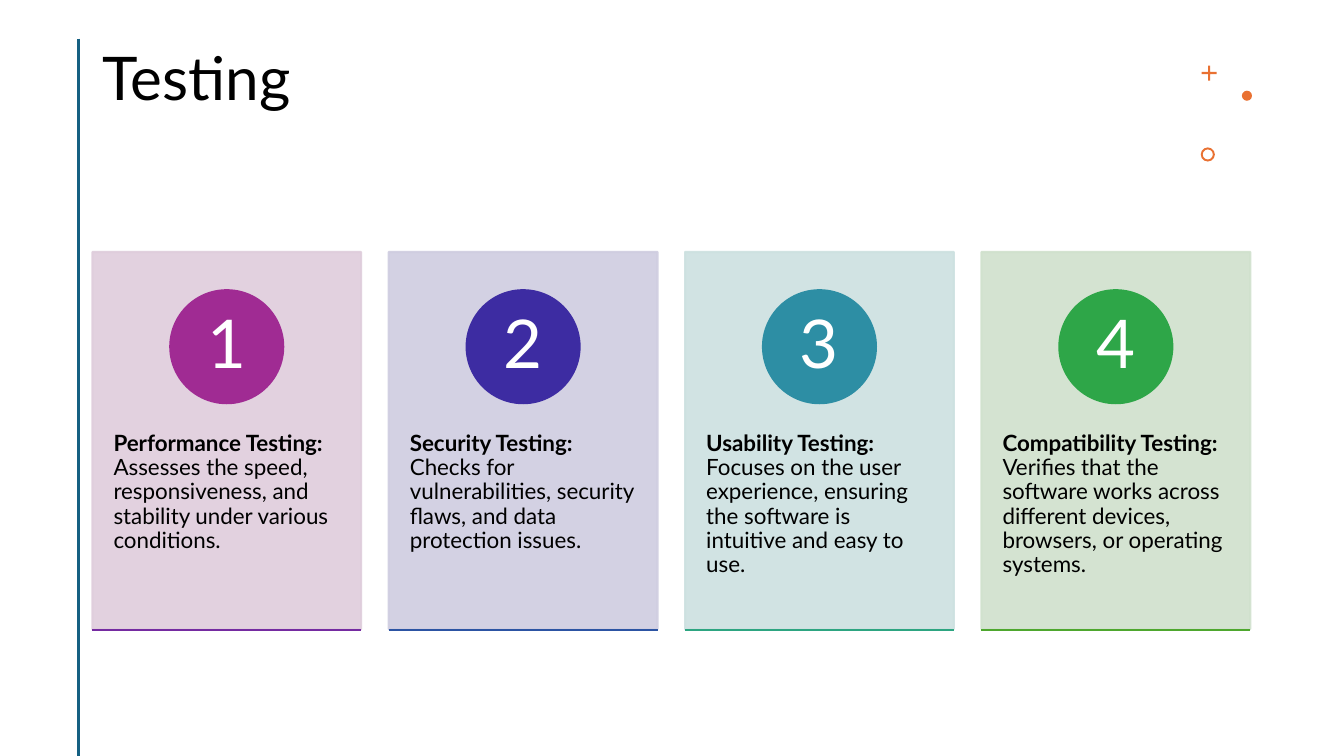
from lxml.etree import SubElement
from pptx import Presentation
from pptx.dml.color import RGBColor
from pptx.enum.shapes import MSO_CONNECTOR as CONN, MSO_SHAPE as SHAPE
from pptx.enum.text import MSO_ANCHOR as ANCHOR, PP_ALIGN as ALIGN
from pptx.oxml.ns import qn
from pptx.util import Inches, Pt

COLORS = {"text": "000000", "light": "FFFFFF", "rule": "156082", "accent": "E97132"}
CARDS = [
    ("Performance Testing:",
     " Assesses the speed, responsiveness, and stability under various conditions.",
     {"panel": "DFCDDC", "badge": "A02B93", "bar": "752BA1"}),
    ("Security Testing:",
     " Checks for vulnerabilities, security flaws, and data protection issues.",
     {"panel": "CFCDE0", "badge": "3D2CA2", "bar": "2C54A3"}),
    ("Usability Testing:",
     " Focuses on the user experience, ensuring the software is intuitive and easy to use.",
     {"panel": "CDE1E0", "badge": "2D8EA4", "bar": "2DA581"}),
    ("Compatibility Testing:",
     " Verifies that the software works across different devices, browsers, or operating systems.",
     {"panel": "D0E1CD", "badge": "2EA648", "bar": "4EA72E"}),
]
LEFT, PITCH, CARD_W, BADGE = 11, 35.28, 32, 13.45


class Deck:
    """Draws styled elements on one slide, measured in a grid of 160 columns by 90 rows."""

    font = "Lato"

    def __init__(self):
        self.prs = Presentation()
        self.prs.slide_width, self.prs.slide_height = Inches(13.33), Inches(7.5)
        self.s = self.prs.slides.add_slide(self.prs.slide_layouts[5])

    def grid(self, *cells):
        sizes = (self.prs.slide_width / 160, self.prs.slide_height / 90)
        return [int(c * sizes[i % 2]) for i, c in enumerate(cells)]

    def frame(self, tf, margins, anchor=ANCHOR.TOP):
        x, y = margins
        fmt = {"word_wrap": True, "vertical_anchor": anchor,
               "margin_left": Inches(x), "margin_right": Inches(x),
               "margin_top": Inches(y), "margin_bottom": Inches(y)}
        for name, value in fmt.items():
            setattr(tf, name, value)

    def add_runs(self, tf, runs, size, color="text", align=ALIGN.LEFT):
        p = tf.paragraphs[0]
        p.alignment, p.line_spacing = align, 0.9
        for text, bold in runs:
            r = p.add_run()
            r.text = text
            r.font.color.rgb = RGBColor.from_string(COLORS[color])
            for name, value in {"name": self.font, "size": Pt(size), "bold": bold}.items():
                setattr(r.font, name, value)

    def title(self, text, cells):
        sp = self.s.shapes.title
        sp.left, sp.top, sp.width, sp.height = self.grid(*cells)
        self.frame(sp.text_frame, (0.1, 0.08))
        self.add_runs(sp.text_frame, [(text, False)], 43)

    def shape(self, kind, cells, color, alpha=None, outline=True, adjust=None):
        sp = self.s.shapes.add_shape(kind, *self.grid(*cells))
        sp.shadow.inherit = False
        if adjust is not None:
            sp.adjustments[0] = adjust
        fills = [sp.fill]
        if outline:
            sp.line.width = Pt(1.5)
            fills.append(sp.line.fill)
        else:
            sp.line.fill.background()
        for fill in fills:
            fill.solid()
            fill.fore_color.rgb = RGBColor.from_string(color)
        if alpha:
            for clr in sp._element.spPr.iter(qn("a:srgbClr")):
                SubElement(clr, qn("a:alpha"), val=str(alpha * 1000))
        return sp

    def line(self, cells, color, width):
        ln = self.s.shapes.add_connector(CONN.STRAIGHT, *self.grid(*cells))
        ln.line.color.rgb = RGBColor.from_string(color)
        ln.line.width = Pt(width)
        SubElement(ln._element.spPr, qn("a:effectLst"))

    def text(self, cells, runs, size, margins):
        tf = self.s.shapes.add_textbox(*self.grid(*cells)).text_frame
        self.frame(tf, margins)
        self.add_runs(tf, runs, size)

    def card(self, i, heading, body, colors):
        x = LEFT + i * PITCH
        self.shape(SHAPE.RECTANGLE, (x, 30, CARD_W, 44.9), colors["panel"], alpha=90)
        self.text((x, 47.15, CARD_W, 27), [(heading, True), (body, False)], 16, (0.21, 0.36))
        badge = self.shape(SHAPE.OVAL, (x + (CARD_W - BADGE) / 2, 34.55, BADGE, BADGE),
                           colors["badge"])
        self.frame(badge.text_frame, (0.09, 0.01), ANCHOR.MIDDLE)
        self.add_runs(badge.text_frame, [(str(i + 1), False)], 48, "light", ALIGN.CENTER)
        self.line((x, 75, x + CARD_W, 75), colors["bar"], 1.5)


def main():
    deck = Deck()
    deck.title("Testing", (LEFT, 4.8, 129.1, 17.4))
    deck.line((9.36, 4.6, 9.36, 90), COLORS["rule"], 2)
    ornaments = [(SHAPE.CROSS, 143.05, 7.8, 1.8, 0.43),
                 (SHAPE.OVAL, 147.85, 10.8, 1.2, None),
                 (SHAPE.DONUT, 142.95, 17.55, 1.68, 0.14)]
    for kind, x, y, size, adjust in ornaments:
        deck.shape(kind, (x, y, size, size), COLORS["accent"], outline=False, adjust=adjust)
    for i, card in enumerate(CARDS):
        deck.card(i, *card)
    deck.prs.save("out.pptx")


if __name__ == "__main__":
    main()
